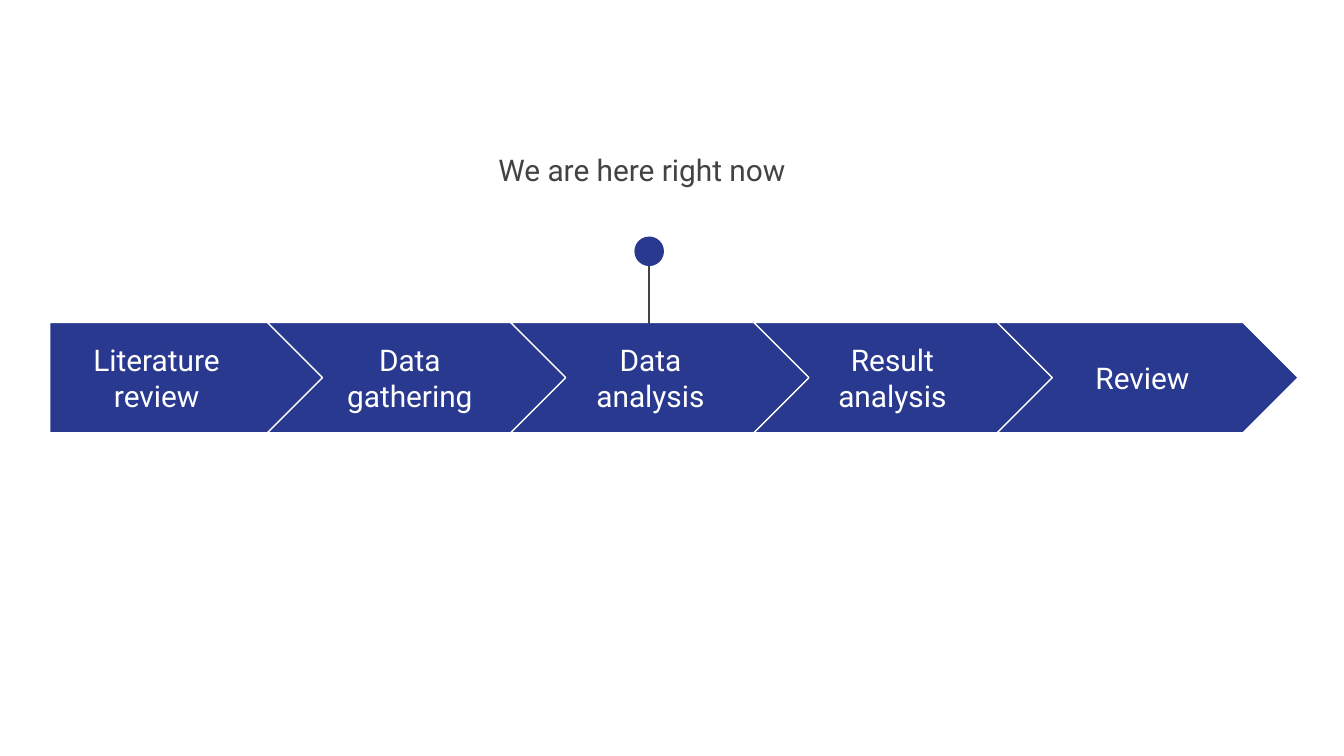
"""Build a five-step research timeline with a marker on the current step."""
from lxml import etree
from pptx import Presentation, util as u
from pptx.dml.color import RGBColor
from pptx.enum import shapes, text
from pptx.oxml.ns import qn

STEPS = [
    ("Literature review", 0.37),
    ("Data gathering", 2.33),
    ("Data analysis", 4.12),
    ("Result analysis", 5.92),
    ("Review", 7.78),
]
STATUS = "We are here right now"
BLUE, WHITE, GREY = "2A3990", "FFFFFF", "434343"
FONT, SIZE = "Roboto", 16

SLIDE_WIDTH = 10
SLIDE_HEIGHT = SLIDE_WIDTH * 9 / 16
FIRST_LEFT, FIRST_WIDTH, FIRST_LABEL = 0.37, 2.05, 1.59
CHEVRON_LEFT, CHEVRON_WIDTH, CHEVRON_LABEL = 1.99, 2.24, 1.44
PITCH, BAND_TOP, BAND_HEIGHT, LABEL_HEIGHT = 1.81, 2.4, 0.82, 0.51
MARKER_X, MARKER_TOP, MARKER_SIZE = 4.83, 1.76, 0.22


def inches(*lengths):
    return [u.Inches(length) for length in lengths]


def color(value):
    return RGBColor.from_string(value)


def add_block(parent, kind, box, outline=None):
    block = parent.add_shape(kind, *inches(*box))
    block.shadow.inherit = False
    block.fill.solid()
    block.fill.fore_color.rgb = color(BLUE)
    if outline:
        block.line.color.rgb = color(outline)
        block.line.width = u.Pt(0.75)
    else:
        block.line.fill.background()
    return block


def add_text(slide, words, box, ink, align, anchor, spacing=None):
    frame = slide.shapes.add_textbox(*inches(*box)).text_frame
    frame.word_wrap = True
    frame.vertical_anchor = anchor
    frame.margin_left = frame.margin_right = u.Inches(0.1)
    frame.margin_top = frame.margin_bottom = u.Inches(0.1)
    frame.text = words
    line = frame.paragraphs[0]
    line.alignment = align
    line.line_spacing = spacing
    font = line.runs[0].font
    font.name, font.size = FONT, u.Pt(SIZE)
    font.color.rgb = color(ink)


def add_step(slide, index, label, label_left):
    if index == 0:
        kind, left, width, label_width = (
            shapes.MSO_SHAPE.PENTAGON, FIRST_LEFT, FIRST_WIDTH, FIRST_LABEL)
    else:
        kind, left, width, label_width = (
            shapes.MSO_SHAPE.CHEVRON, CHEVRON_LEFT + (index - 1) * PITCH,
            CHEVRON_WIDTH, CHEVRON_LABEL)
    arrow = add_block(slide.shapes, kind, (left, BAND_TOP, width, BAND_HEIGHT), WHITE)
    arrow.adjustments[0] = 0.5
    label_top = BAND_TOP + (BAND_HEIGHT - LABEL_HEIGHT) / 2
    add_text(slide, label, (label_left, label_top, label_width, LABEL_HEIGHT),
             WHITE, text.PP_ALIGN.CENTER, text.MSO_ANCHOR.MIDDLE)


def add_marker(slide):
    marker = slide.shapes.add_group_shape().shapes
    stem = marker.add_connector(
        shapes.MSO_CONNECTOR.STRAIGHT,
        *inches(MARKER_X, 1.8, MARKER_X, BAND_TOP + 0.01))
    stem.line.color.rgb = color(GREY)
    stem.line.width = u.Pt(0.75)
    etree.SubElement(stem._element.spPr, qn("a:effectLst"))
    add_block(marker, shapes.MSO_SHAPE.OVAL,
              (MARKER_X - MARKER_SIZE / 2, MARKER_TOP, MARKER_SIZE, MARKER_SIZE))
    add_text(slide, STATUS, (3.61, 0.99, 2.45, 0.43), GREY,
             text.PP_ALIGN.LEFT, text.MSO_ANCHOR.TOP, 1.15)


def main():
    deck = Presentation()
    deck.slide_width, deck.slide_height = inches(SLIDE_WIDTH, SLIDE_HEIGHT)
    slide = deck.slides.add_slide(deck.slide_layouts[6])
    for index, (label, label_left) in enumerate(STEPS):
        add_step(slide, index, label, label_left)
    add_marker(slide)
    deck.save("out.pptx")


if __name__ == "__main__":
    main()
